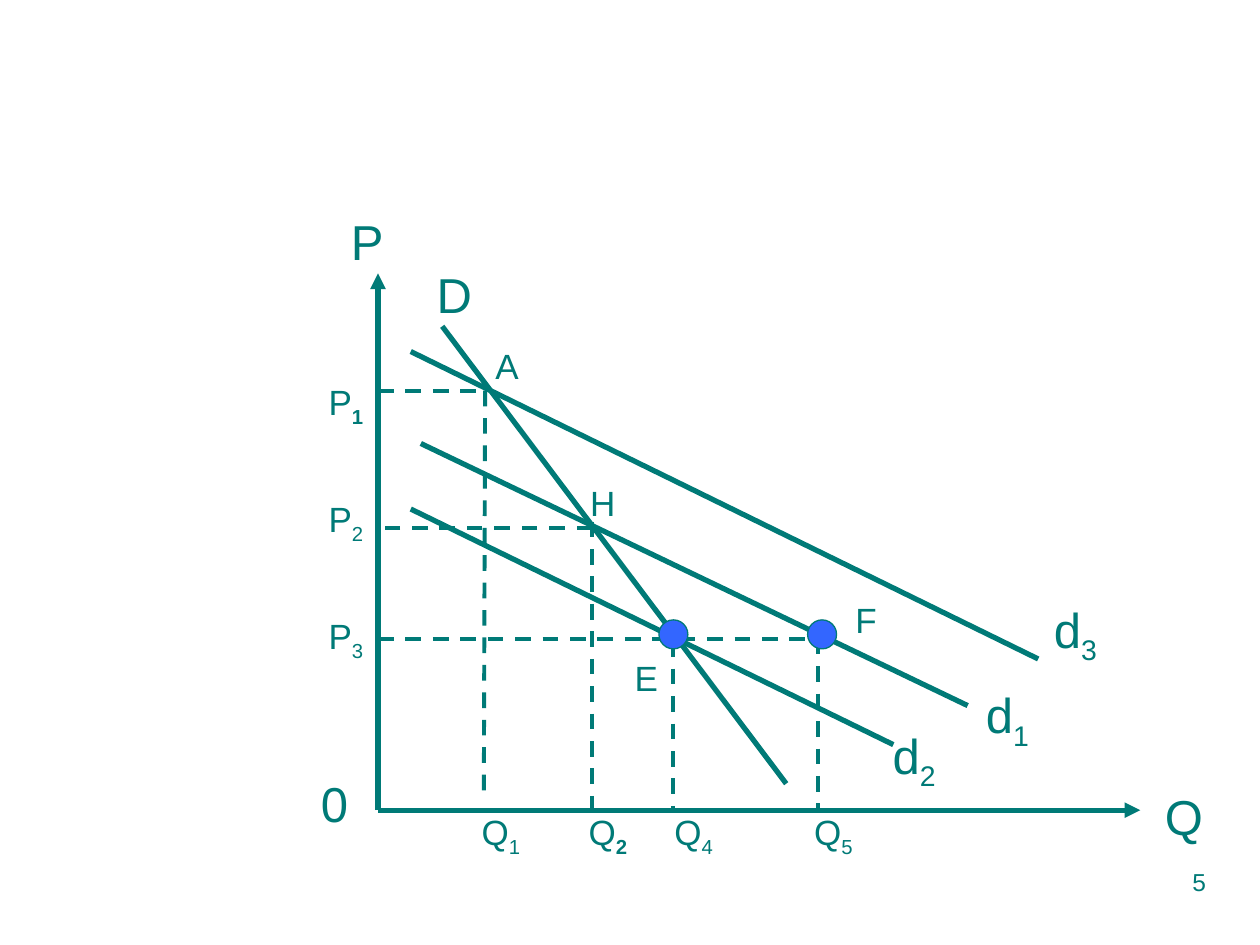
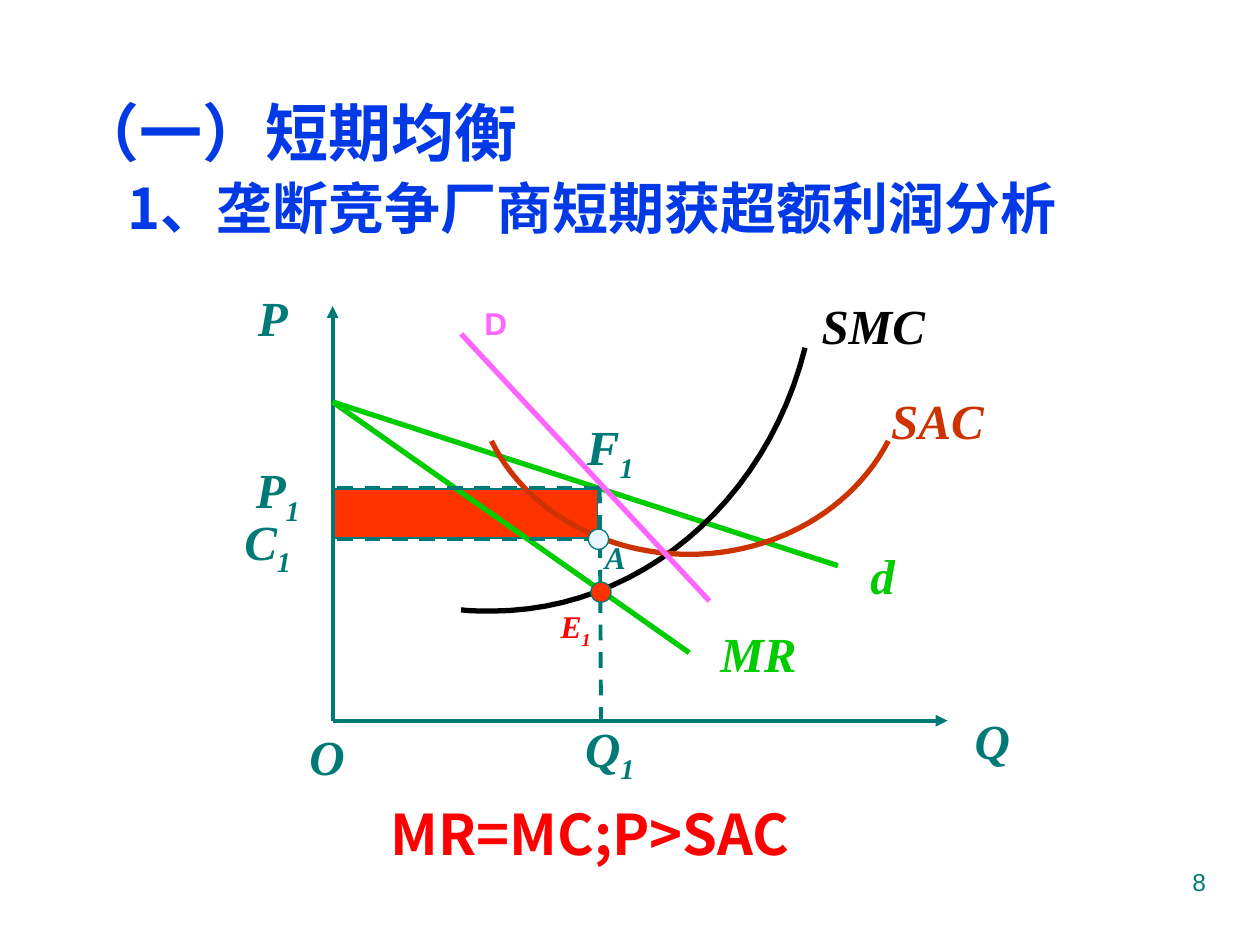
import dataclasses
import typing

import pptx
import pptx.dml.color
import pptx.enum.dml
import pptx.enum.shapes
import pptx.enum.text
import pptx.oxml
import pptx.oxml.ns
import pptx.slide
import pptx.text.text
import pptx.util

Inches = pptx.util.Inches
Pt = pptx.util.Pt
Align = pptx.enum.text.PP_ALIGN
Anchor = pptx.enum.text.MSO_ANCHOR
Shape = pptx.enum.shapes.MSO_SHAPE
Slide = pptx.slide.Slide
Point = tuple[float, float]


@dataclasses.dataclass(frozen=True)
class Theme:
    teal: str = "007A77"
    title: str = "0039E5"
    blue: str = "3366FF"
    green: str = "00CC00"
    rust: str = "CC3300"
    pink: str = "FF66FF"
    black: str = "000000"
    red: str = "FF0000"
    flame: str = "FF3300"
    pale: str = "EBF7FF"
    sans: str = "Arial"
    serif: str = "Times New Roman"
    han: str = "Noto Sans CJK SC"
    head: int = 36
    lead: int = 32
    large: int = 28
    mid: int = 20
    small: int = 18
    foot: int = 14
    thick: float = 3
    thin: float = 2.25
    hair: float = 0.75


THEME = Theme()


@dataclasses.dataclass(frozen=True)
class Line:
    start: Point
    end: Point
    color: str = THEME.teal
    width: float = THEME.thick
    dash: bool = False
    arrow: bool = False


@dataclasses.dataclass(frozen=True)
class Curve:
    """A chain of cubic arcs: a start point, then three points for each arc."""
    points: tuple[Point, ...]
    color: str


@dataclasses.dataclass(frozen=True)
class Block:
    left: float
    top: float
    width: float
    height: float
    fill: str
    kind: Shape = Shape.OVAL


@dataclasses.dataclass(frozen=True)
class Label:
    text: str
    left: float
    top: float
    width: float = 0.51
    height: float = 0.62
    sub: str = ""
    size: int = THEME.mid
    color: str = THEME.teal
    font: str = THEME.sans
    bold: bool = False
    slant: bool = False
    heavy: bool = False  # bold subscript
    wrap: bool = False
    align: Align = Align.CENTER
    anchor: Anchor = Anchor.MIDDLE


def paint(color: str) -> pptx.dml.color.RGBColor:
    return pptx.dml.color.RGBColor.from_string(color)


def apply(target: typing.Any, values: dict[str, typing.Any]) -> None:
    for name, value in values.items():
        setattr(target, name, value)


def add_run(para: pptx.text.text._Paragraph, text: str, font: str, size: int,
            color: str, bold: bool = False, slant: bool = False) -> typing.Any:
    run = para.add_run()
    run.text = text
    apply(run.font, {"name": font, "size": Pt(size), "bold": bold, "italic": slant})
    run.font.color.rgb = paint(color)
    props = run.font._element
    east = pptx.oxml.ns.qn("a:ea")
    props.find(pptx.oxml.ns.qn("a:latin")).addnext(props.makeelement(east, {"typeface": font}))
    return run


def draw_line(slide: Slide, item: Line) -> None:
    link = slide.shapes.add_connector(
        pptx.enum.shapes.MSO_CONNECTOR.STRAIGHT, *map(Inches, item.start + item.end))
    link.line.color.rgb = paint(item.color)
    link.line.width = Pt(item.width)
    if item.dash:
        link.line.dash_style = pptx.enum.dml.MSO_LINE.DASH
    props = link._element.spPr
    if item.arrow:
        tip = props.makeelement(pptx.oxml.ns.qn("a:tailEnd"), {"type": "triangle"})
        link.line._get_or_add_ln().append(tip)
    props.append(props.makeelement(pptx.oxml.ns.qn("a:effectLst"), {}))


def trace(points: tuple[Point, ...], steps: int = 24) -> list[Point]:
    """Sample the cubic arcs as short straight pieces."""
    path = [points[0]]
    for first in range(0, len(points) - 1, 3):
        arc = points[first:first + 4]
        for step in range(1, steps + 1):
            t = step / steps
            u = 1 - t
            parts = (u ** 3, 3 * u * u * t, 3 * u * t * t, t ** 3)
            path.append((sum(w * p[0] for w, p in zip(parts, arc)),
                         sum(w * p[1] for w, p in zip(parts, arc))))
    return path


def draw_curve(slide: Slide, item: Curve) -> None:
    path = [(Inches(x), Inches(y)) for x, y in trace(item.points)]
    pen = slide.shapes.build_freeform(*path[0])
    pen.add_line_segments(path[1:], close=False)
    shape = pen.convert_to_shape()
    shape.shadow.inherit = False
    shape.fill.background()
    shape.line.color.rgb = paint(item.color)
    shape.line.width = Pt(THEME.thick)


def draw_block(slide: Slide, item: Block) -> None:
    shape = slide.shapes.add_shape(
        item.kind, *map(Inches, (item.left, item.top, item.width, item.height)))
    shape.shadow.inherit = False
    shape.fill.solid()
    shape.fill.fore_color.rgb = paint(item.fill)
    shape.line.color.rgb = paint(THEME.teal)
    shape.line.width = Pt(THEME.hair)


def draw_label(slide: Slide, item: Label) -> None:
    box = slide.shapes.add_textbox(
        *map(Inches, (item.left, item.top, item.width, item.height)))
    frame = box.text_frame
    side = Inches(0.1 if item.wrap else 0)
    apply(frame, {"word_wrap": item.wrap, "vertical_anchor": item.anchor,
                  "margin_left": side, "margin_right": side})
    para = frame.paragraphs[0]
    para.alignment = item.align
    style = (item.font, item.size, item.color)
    add_run(para, item.text, *style, item.bold, item.slant)
    if item.sub:
        run = add_run(para, item.sub, *style, item.bold or item.heavy, item.slant)
        run.font._element.set("baseline", "-25000")


DRAW = {Line: draw_line, Curve: draw_curve, Block: draw_block, Label: draw_label}


def draw(slide: Slide, items: typing.Iterable[typing.Any]) -> None:
    for item in items:
        DRAW[type(item)](slide, item)


def axes(x: float, y: float, right: float, top: float, width: float) -> list[Line]:
    return [Line((x, y), end, width=width, arrow=True) for end in ((right, y), (x, top))]


def dashed(*ends: float) -> Line:
    return Line(ends[:2], ends[2:], width=THEME.thin, dash=True)


def number(text: str) -> Label:
    return Label(text, 7.17, 6.83, 2.5, 0.52, size=THEME.foot, wrap=True,
                 align=Align.RIGHT, anchor=Anchor.TOP)


def script(text: str, left: float, top: float, width: float, sub: str = "",
           color: str = THEME.teal, size: int = THEME.large) -> Label:
    """A bold italic serif label."""
    return Label(text, left, top, width, 0.57 if size == THEME.large else 0.4, sub,
                 size, color, THEME.serif, bold=True, slant=True, wrap=True,
                 anchor=Anchor.TOP)


def build_shift(slide: Slide) -> None:
    """Market demand D against the firm's shifting demand d."""
    large = THEME.large
    draw(slide, axes(3, 6.43, 9.05, 2.17, THEME.thick))
    draw(slide, [
        Line((3.34, 3.52), (7.68, 5.6)),
        Line((3.51, 2.59), (6.24, 6.22)),
        Line((3.26, 4.04), (7.09, 5.91)),
        Line((3.26, 2.79), (8.24, 5.23)),
        dashed(5.34, 5.09, 5.34, 6.45),
        dashed(4.7, 4.19, 3, 4.19),
        dashed(3, 5.07, 6.58, 5.07),
        dashed(4.7, 4.14, 4.7, 6.43),
        dashed(6.49, 5.07, 6.49, 6.43),
        dashed(3, 3.1, 3.85, 3.1),
        dashed(3.85, 3.1, 3.84, 6.35),
        Label("P", 2.66, 1.55, height=0.73, size=large),
        Label("0", 2.4, 6.01, height=0.72, size=large),
        Label("Q", 9.14, 6.11, height=0.73, size=large),
        Label("D", 3.35, 2.13, height=0.41, size=large),
        Label("d", 7.74, 5.39, sub="1", size=large),
        Label("d", 7, 5.73, height=0.59, sub="2", size=large),
        Label("d", 8.28, 4.66, height=0.73, sub="3", size=large),
        Label("A", 3.77, 2.59),
        Label("H", 4.53, 3.73, height=0.52),
        Label("E", 4.96, 5.07, 0.34),
        Label("F", 6.66, 4.66, 0.43, 0.52),
    ])
    draw(slide, (Label("P", 2.49, 2.9 + 0.93 * row, sub=str(row + 1), heavy=row == 0)
                 for row in range(3)))
    draw(slide, (Label("Q", left, 6.31, sub=sub, heavy=sub == "2")
                 for sub, left in (("1", 3.72), ("2", 4.57), ("4", 5.25), ("5", 6.36))))
    draw(slide, (Block(left, 4.92, 0.23, 0.23, THEME.blue) for left in (5.23, 6.41)))
    draw(slide, [number("5")])


def fill_body(slide: Slide) -> None:
    body = slide.placeholders[1]
    apply(body, {"left": Inches(0.51), "top": Inches(0.76),
                 "width": Inches(9), "height": Inches(1.34)})
    frame = body.text_frame
    frame.auto_size = pptx.enum.text.MSO_AUTO_SIZE.NONE
    rows = (("（一）短期均衡", THEME.head, 0),
            ("1、垄断竞争厂商短期获超额利润分析", THEME.lead, 0.4))
    for index, (text, size, indent) in enumerate(rows):
        para = frame.add_paragraph() if index else frame.paragraphs[0]
        apply(para, {"line_spacing": 0.9, "space_before": Pt(0.2 * size * index)})
        props = para._p.get_or_add_pPr()
        props.set("marL", str(Inches(indent)))
        props.set("indent", "0")
        props.append(props.makeelement(pptx.oxml.ns.qn("a:buNone"), {}))
        add_run(para, text, THEME.han, size, THEME.title, bold=True)


def build_profit(slide: Slide) -> None:
    """Short-run equilibrium with excess profit."""
    fill_body(slide)
    draw(slide, [Block(2.65, 3.88, 2.09, 0.39, THEME.flame, Shape.RECTANGLE)])
    draw(slide, axes(2.64, 5.72, 7.52, 2.43, THEME.thin))
    draw(slide, [
        Line((2.64, 3.19), (5.47, 5.18), THEME.green),
        Line((2.64, 3.19), (6.65, 4.49), THEME.green),
        Curve(((3.66, 4.84), (3.74, 4.85), (3.82, 4.85), (3.9, 4.85),
               (5.06, 4.85), (6.08, 4), (6.39, 2.76)), THEME.black),
        Curve(((7.05, 3.5), (6.77, 4.04), (6.16, 4.4), (5.47, 4.4),
               (4.79, 4.4), (4.17, 4.05), (3.9, 3.5)), THEME.rust),
        dashed(4.76, 3.87, 4.77, 5.72),
        dashed(4.76, 3.87, 2.64, 3.87),
        dashed(4.76, 4.28, 2.64, 4.28),
        script("P", 1.77, 2.23, 0.79),
        script("Q", 7.44, 5.59, 0.87),
        script("O", 2.24, 5.72, 0.71),
        script("E", 4.22, 4.77, 0.7, "1", THEME.red, THEME.small),
        script("F", 4.53, 3.26, 0.63, "1"),
        script("P", 1.85, 3.6, 0.71, "1"),
        script("Q", 4.21, 5.65, 1.26, "1"),
        script("d", 6.81, 4.28, 0.32, color=THEME.green),
        script("MR", 5.55, 4.9, 0.94, color=THEME.green),
        script("SAC", 6.73, 3.05, 1.42, color=THEME.rust),
        script("SMC", 6.42, 2.3, 1.02, color=THEME.black),
        script("A", 4.61, 4.22, 0.55, size=THEME.small),
        script("C", 1.69, 4.01, 0.87, "1"),
        Line((3.66, 2.65), (5.63, 4.77), THEME.pink),
        Label("D", 3.66, 2.33, 0.55, 0.47, size=THEME.small, color=THEME.pink, bold=True),
        Block(4.69, 4.62, 0.16, 0.16, THEME.flame),
        Block(4.67, 4.2, 0.16, 0.16, THEME.pale),
        Label("MR=MC;P>SAC", 2.42, 6.19, 4.53, 0.84, size=THEME.lead,
              color=THEME.red, font=THEME.han, bold=True),
        number("8"),
    ])


def main() -> None:
    deck = pptx.Presentation()
    apply(deck, {"slide_width": Inches(10), "slide_height": Inches(7.5)})
    for layout, build in ((6, build_shift), (1, build_profit)):
        slide = deck.slides.add_slide(deck.slide_layouts[layout])
        build(slide)
        for holder in list(slide.placeholders):
            if not holder.text_frame.text:
                holder._element.getparent().remove(holder._element)
    deck.save("out.pptx")


if __name__ == "__main__":
    main()
